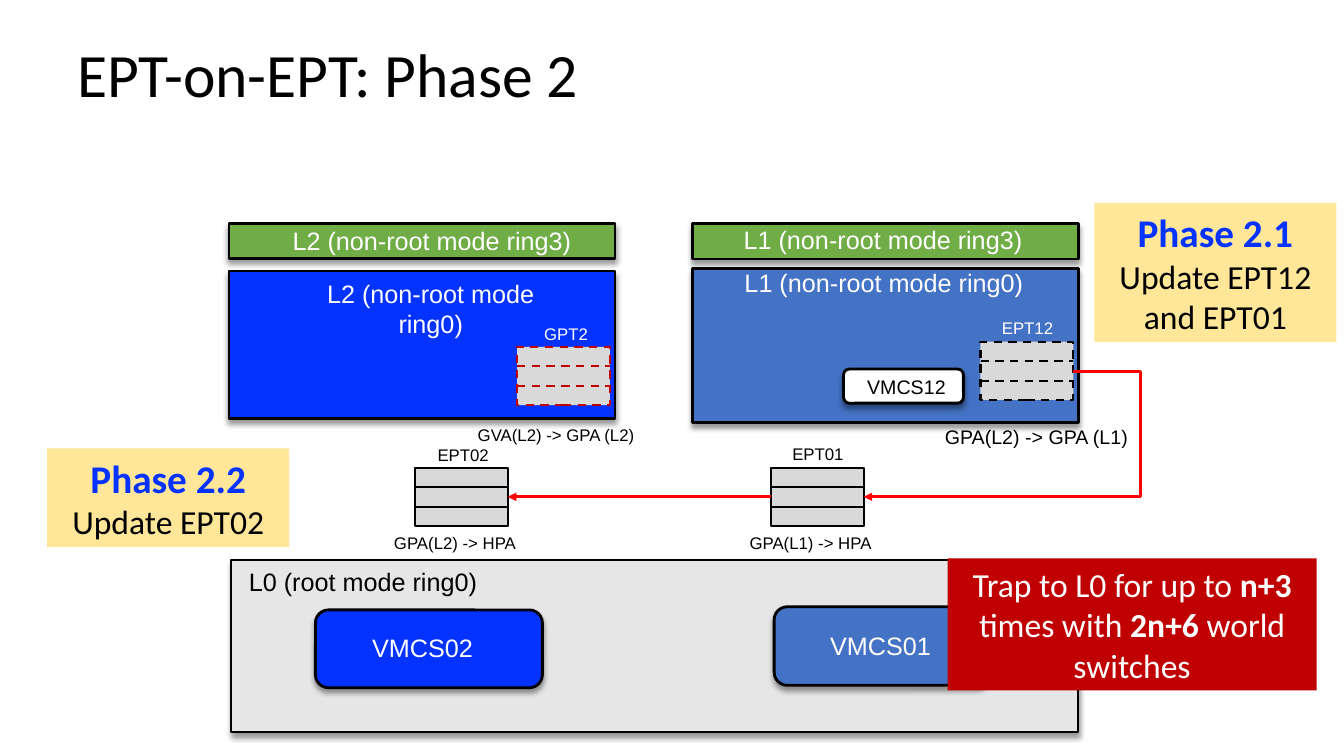
from dataclasses import dataclass

from lxml import etree
from pptx import Presentation
from pptx.dml.color import RGBColor
from pptx.enum.dml import MSO_LINE
from pptx.enum.shapes import MSO_CONNECTOR, MSO_SHAPE
from pptx.enum.text import MSO_ANCHOR, PP_ALIGN
from pptx.oxml.ns import qn
from pptx.util import Cm, Pt

RECT, ROUND = MSO_SHAPE.RECTANGLE, MSO_SHAPE.ROUNDED_RECTANGLE
STRAIGHT, ELBOW = MSO_CONNECTOR.STRAIGHT, MSO_CONNECTOR.ELBOW
LEFT, CENTER = PP_ALIGN.LEFT, PP_ALIGN.CENTER
MIDDLE, TOP = MSO_ANCHOR.MIDDLE, MSO_ANCHOR.TOP
DASH = MSO_LINE.DASH


@dataclass(frozen=True)
class Theme:
    black: str = "000000"
    white: str = "FFFFFF"
    green: str = "70AD47"
    blue: str = "4472C4"
    vivid: str = "0432FF"
    pale: str = "E7E6E6"
    gray: str = "D9D9D9"
    cream: str = "FFE699"
    crimson: str = "C00000"
    red: str = "FF0000"
    label_font: str = "Arial"
    text_font: str = "Calibri"
    title: int = 44
    head: int = 28
    body: int = 24
    label: int = 18
    note: int = 14
    small: int = 12


T = Theme()


class Diagram:
    def __init__(self, slide, theme):
        self.s = slide
        self.t = theme

    def add_text(self, sp, paragraphs, font, align=CENTER, anchor=TOP):
        """Each paragraph is a list of (text, size, colour, bold) runs."""
        tf = sp.text_frame
        tf.word_wrap = True
        tf.vertical_anchor = anchor
        for i, runs in enumerate(paragraphs):
            p = tf.add_paragraph() if i else tf.paragraphs[0]
            p.alignment = align
            for text, size, color, bold in runs:
                r = p.add_run()
                r.text = text
                r.font.name = font
                r.font.size = Pt(size)
                r.font.bold = bold
                r.font.color.rgb = RGBColor.from_string(color)

    def label(self, text, x, y, w, size=T.label, color=T.black, align=CENTER,
              font=T.label_font, parent=None):
        height = Pt(size * 1.2) + Cm(0.25)
        sp = (parent or self.s).shapes.add_textbox(Cm(x), Cm(y), Cm(w), height)
        self.add_text(sp, [[(text, size, color, False)]], font, align)

    def shape(self, kind, x, y, w, h, fill, parent=None):
        sp = (parent or self.s).shapes.add_shape(kind, Cm(x), Cm(y), Cm(w), Cm(h))
        sp.shadow.inherit = False
        sp.fill.solid()
        sp.fill.fore_color.rgb = RGBColor.from_string(fill)
        sp.line.fill.background()
        return sp

    def stroke(self, line, color, width, dash=None):
        line.color.rgb = RGBColor.from_string(color)
        line.width = Pt(width)
        if dash:
            line.dash_style = dash

    def block(self, kind, x, y, w, h, fill, width=2):
        sp = self.shape(kind, x, y, w, h, fill)
        self.stroke(sp.line, self.t.black, width)
        effects = sp._element.spPr.find(qn("a:effectLst"))
        shadow = etree.SubElement(effects, qn("a:outerShdw"), blurRad=str(Pt(4)),
                                  dist=str(Pt(3)), dir="5400000", rotWithShape="0")
        color = etree.SubElement(shadow, qn("a:srgbClr"), val=self.t.black)
        etree.SubElement(color, qn("a:alpha"), val="40000")

    def callout(self, x, y, w, h, fill, paragraphs):
        sp = self.shape(RECT, x, y, w, h, fill)
        self.add_text(sp, paragraphs, self.t.text_font, anchor=MIDDLE)

    def connector(self, kind, x1, y1, x2, y2, color, width, dash=None, parent=None):
        c = (parent or self.s).shapes.add_connector(kind, Cm(x1), Cm(y1), Cm(x2), Cm(y2))
        self.stroke(c.line, color, width, dash)
        etree.SubElement(c._element.spPr, qn("a:effectLst"))
        return c

    def arrow(self, x1, y1, x2, y2, bend):
        c = self.connector(ELBOW, x1, y1, x2, y2, self.t.red, 2)
        spPr = c._element.spPr
        etree.SubElement(spPr.find(qn("a:ln")), qn("a:tailEnd"), type="triangle")
        guides = spPr.find(qn("a:prstGeom")).get_or_add_avLst()
        etree.SubElement(guides, qn("a:gd"), name="adj1", fmla=f"val {bend}")

    def page_table(self, x, y, name, name_box, name_color, color, dash=None):
        """Three-row page table with its name above."""
        w, h, rows = 2.34, 1.47, 3
        g = self.s.shapes.add_group_shape()
        sp = self.shape(RECT, x, y, w, h, self.t.gray, g)
        self.stroke(sp.line, color, 1.5, dash)
        for i in range(1, rows):
            row_y = y + h * i / rows
            self.connector(STRAIGHT, x, row_y, x + w, row_y, color, 1.5, dash, g)
        self.label(name, *name_box, self.t.small, name_color, parent=g)


def main():
    prs = Presentation()
    prs.slide_width, prs.slide_height = Cm(33.87), Cm(19.05)
    d = Diagram(prs.slides.add_slide(prs.slide_layouts[6]), T)

    # Title
    d.label("EPT-on-EPT: Phase 2", 1.7, 0.79, 32.16, T.title, align=LEFT,
            font=T.text_font)

    # Privilege levels
    d.block(RECT, 5.77, 5.64, 9.73, 0.87, T.green)
    d.block(RECT, 5.82, 14.12, 21.34, 4.32, T.pale, 1.5)
    d.block(RECT, 5.77, 6.83, 9.73, 3.71, T.vivid)
    d.block(RECT, 17.45, 5.64, 9.73, 0.89, T.green)
    d.block(RECT, 17.45, 6.76, 9.73, 3.89, T.blue)
    d.label("L0 (root mode ring0)", 6.02, 14.15, 8.71, align=LEFT)
    d.label("L2 (non-root mode ring0)", 7.16, 6.88, 7.39, color=T.white)
    d.label("L2 (non-root mode ring3)", 6.96, 5.56, 7.85, color=T.white)
    d.label("L1 (non-root mode ring0)", 17.68, 6.6, 9.19, color=T.white)
    d.label("L1 (non-root mode ring3)", 18.49, 5.54, 8.26, color=T.white, align=LEFT)

    # Control structures
    d.block(ROUND, 19.51, 15.29, 5.41, 1.98, T.blue)
    d.label("VMCS01", 19.46, 15.77, 5.46, color=T.white)
    d.block(ROUND, 21.26, 9.3, 3.02, 0.86, T.white)
    d.label("VMCS12", 21.23, 9.32, 3.23, T.note)
    d.block(ROUND, 7.95, 15.37, 5.72, 1.96, T.vivid)
    d.label("VMCS02", 7.82, 15.8, 5.66, color=T.white)

    # Page tables
    d.page_table(13.03, 8.74, "GPT2", (13.11, 8.03, 2.31), T.white, T.crimson, DASH)
    d.page_table(10.46, 11.79, "EPT02", (10.67, 11.07, 2.01), T.black, T.black)
    d.page_table(24.71, 8.61, "EPT12", (24.74, 7.87, 2.31), T.white, T.black, DASH)
    d.page_table(19.43, 11.79, "EPT01", (19.61, 11.05, 2.01), T.black, T.black)

    # Address translations
    d.label("GVA(L2) -> GPA (L2)", 11.79, 10.57, 5.31, T.small, align=LEFT)
    d.label("GPA(L2) -> HPA", 9.68, 13.31, 4.22, T.small, align=LEFT)
    d.label("GPA(L2) -> GPA (L1)", 23.44, 10.59, 5.36, T.note)
    d.label("GPA(L1) -> HPA", 18.64, 13.31, 4.22, T.small, align=LEFT)

    # Update flow
    d.arrow(27.05, 9.37, 21.77, 12.52, -32100)
    d.arrow(19.43, 12.52, 12.8, 12.52, 50000)

    # Callouts
    for x, y, h, phase, action in (
        (27.58, 5.11, 3.51, "Phase 2.1", "Update EPT12 and EPT01"),
        (1.19, 11.3, 2.49, "Phase 2.2", "Update EPT02"),
    ):
        d.callout(x, y, 6.1, h, T.cream, [[(phase, T.head, T.vivid, True)],
                                          [(action, T.body, T.black, False)]])
    cost = (("Trap to L0 for up to ", False), ("n+3 ", True), ("times with ", False),
            ("2n+6 ", True), ("world switches", False))
    d.callout(23.88, 14.07, 9.3, 3.33, T.crimson,
              [[(text, T.body, T.white, bold) for text, bold in cost]])

    prs.save("out.pptx")


if __name__ == "__main__":
    main()
